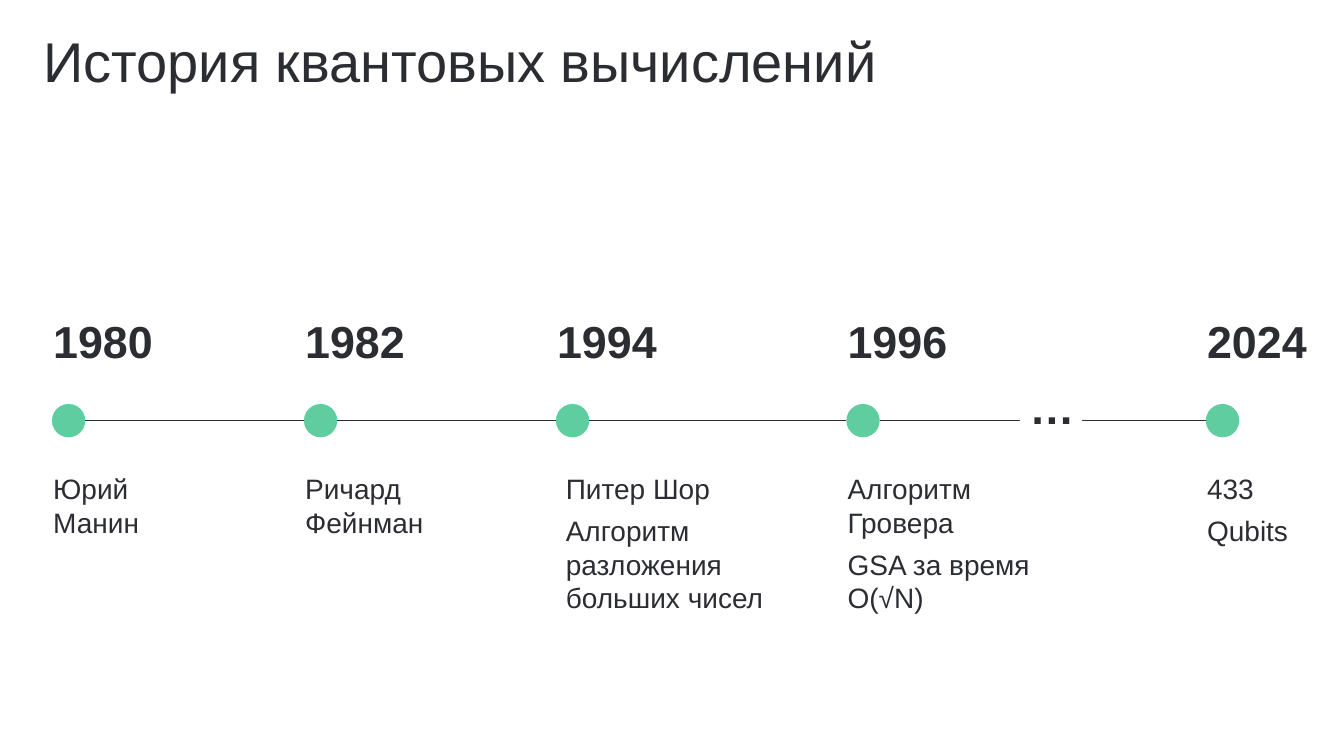
from collections import namedtuple

from pptx import Presentation
from pptx.dml.color import RGBColor
from pptx.enum.shapes import MSO_CONNECTOR, MSO_SHAPE
from pptx.enum.text import MSO_ANCHOR, MSO_AUTO_SIZE, PP_ALIGN
from pptx.oxml.ns import qn
from pptx.util import Cm, Pt
from lxml.etree import SubElement

INK = RGBColor(0x2B, 0x2D, 0x33)
GREEN = RGBColor(0x5F, 0xCD, 0xA0)
WHITE = RGBColor(0xFF, 0xFF, 0xFF)

DOT = Cm(0.84)
DOT_INDENT = Cm(0.22)
YEAR_HEIGHT = Cm(2)
DOT_TOP = Cm(2.41)
CAPTION_TOP = Cm(3.99)

Box = namedtuple("Box", "left top width height")
Milestone = namedtuple("Milestone", "year left year_width caption_width caption_indent caption")

MILESTONES = [
    Milestone("1980", 0, 5.84, 3.12, 0, ["Юрий Манин"]),
    Milestone("1982", 6.35, 5.84, 4.5, 0, ["Ричард Фейнман"]),
    Milestone("1994", 12.7, 5.84, 6.6, 0.22,
              ["Питер Шор", "Алгоритм разложения больших чисел"]),
    Milestone("1996", 20.02, 4.22, 6.35, 0, ["Алгоритм Гровера", "GSA за время O(√N)"]),
    Milestone("2024", 29.08, 3.28, 3.28, 0, ["433", "Qubits"]),
]


def write(shape, paragraphs, size, bold=False, align=PP_ALIGN.LEFT,
          anchor=MSO_ANCHOR.TOP, line_spacing=None):
    """Fill a shape with formatted paragraphs."""
    frame = shape.text_frame
    frame.word_wrap = True
    frame.auto_size = MSO_AUTO_SIZE.NONE
    frame.vertical_anchor = anchor
    for index, text in enumerate(paragraphs):
        paragraph = frame.add_paragraph() if index else frame.paragraphs[0]
        paragraph.alignment = align
        paragraph.line_spacing = line_spacing
        paragraph.space_before = Pt(6 if index else 0)
        run = paragraph.add_run()
        run.text = text
        run.font.name = "Arial"
        run.font.size = Pt(size)
        run.font.bold = bold
        run.font.color.rgb = INK


def add_plain_shape(slide, kind, box, color):
    """Add a filled preset shape without outline or shadow."""
    shape = slide.shapes.add_shape(kind, *box)
    shape.shadow.inherit = False
    shape.fill.solid()
    shape.fill.fore_color.rgb = color
    shape.line.fill.background()
    return shape


def add_title(slide, box):
    """Place the slide title in its placeholder."""
    title = slide.shapes.title
    title.left, title.top, title.width, title.height = box
    write(title, ["История квантовых вычислений"], 40,
          anchor=MSO_ANCHOR.MIDDLE, line_spacing=0.9)


def add_milestone(slide, box, milestone):
    """Place a year, its dot and its caption, and return the dot."""
    year = slide.shapes.add_textbox(box.left, box.top, Cm(milestone.year_width), YEAR_HEIGHT)
    write(year, [milestone.year], 32, bold=True)
    caption = slide.shapes.add_textbox(
        box.left + Cm(milestone.caption_indent), box.top + CAPTION_TOP,
        Cm(milestone.caption_width), box.height - CAPTION_TOP)
    write(caption, milestone.caption, 20)
    dot_box = Box(box.left + DOT_INDENT, box.top + DOT_TOP, DOT, DOT)
    return add_plain_shape(slide, MSO_SHAPE.OVAL, dot_box, GREEN)


def link_dots(slide, start, end):
    """Draw the timeline segment between two dots."""
    middle = start.top + start.height // 2
    segment = slide.shapes.add_connector(
        MSO_CONNECTOR.STRAIGHT, start.left + start.width, middle, end.left, middle)
    segment.line.color.rgb = INK
    segment.line.width = Pt(1)
    SubElement(segment._element.spPr, qn("a:effectLst"))


def add_gap(slide, box):
    """Cover part of the timeline with an ellipsis."""
    gap = add_plain_shape(slide, MSO_SHAPE.RECTANGLE, box, WHITE)
    write(gap, ["…"], 32, bold=True, align=PP_ALIGN.CENTER)


def add_timeline(slide, box):
    """Lay out the milestones, their links and the skipped years."""
    dots = [
        add_milestone(slide, Box(box.left + Cm(milestone.left), box.top,
                                 Cm(milestone.year_width), box.height), milestone)
        for milestone in MILESTONES
    ]
    for start, end in zip(dots, dots[1:]):
        link_dots(slide, start, end)
    add_gap(slide, Box(box.left + Cm(24.61), box.top + Cm(1.68), Cm(1.57), Cm(2)))


def main():
    """Build and save the presentation."""
    presentation = Presentation()
    presentation.slide_width = Cm(33.87)
    presentation.slide_height = Cm(19.05)
    slide = presentation.slides.add_slide(presentation.slide_layouts[5])
    add_title(slide, Box(Cm(0.84), Cm(0.79), Cm(29.44), Cm(1.65)))
    add_timeline(slide, Box(Cm(1.09), Cm(7.77), Cm(32.36), Cm(10.18)))
    presentation.save("out.pptx")


if __name__ == "__main__":
    main()
